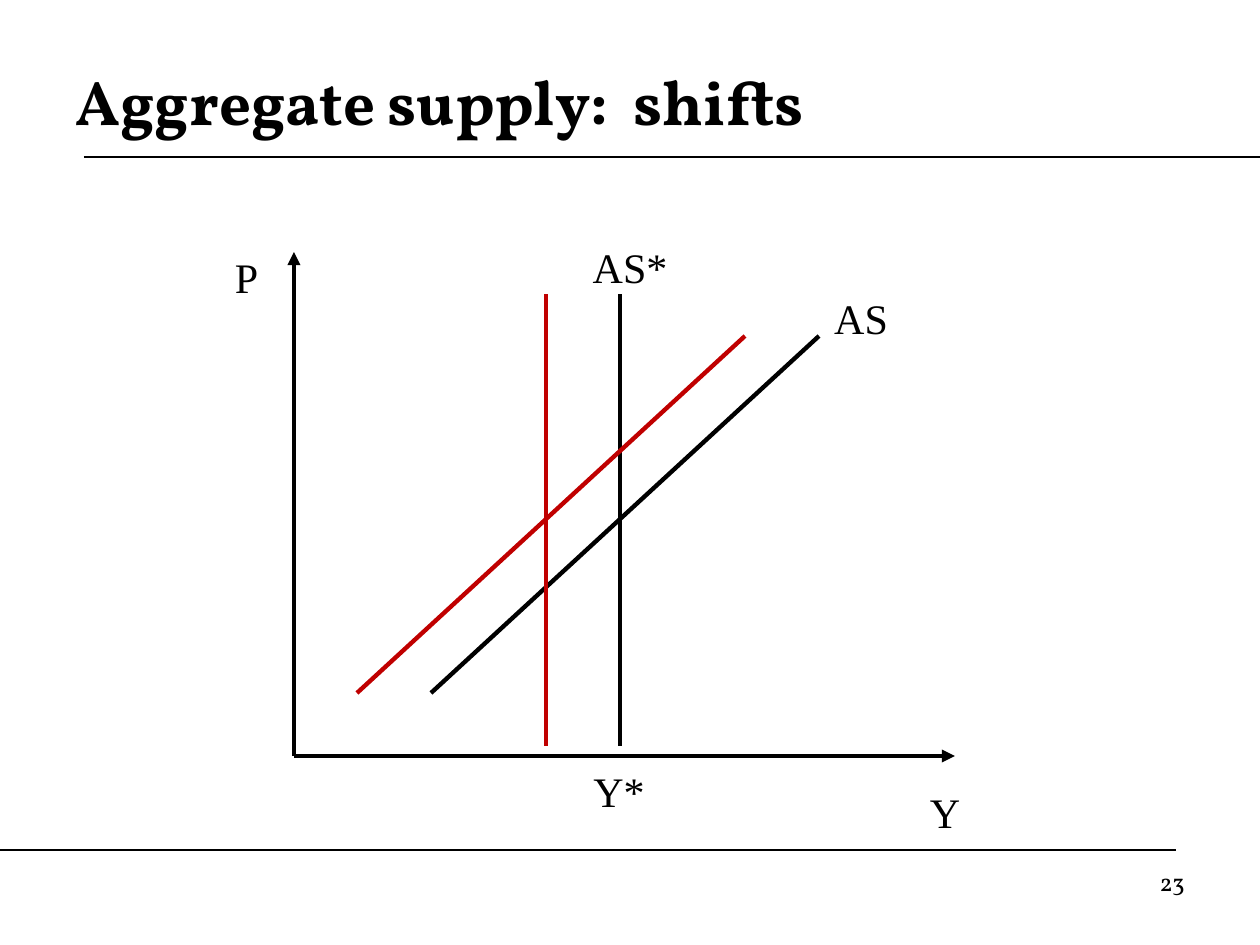
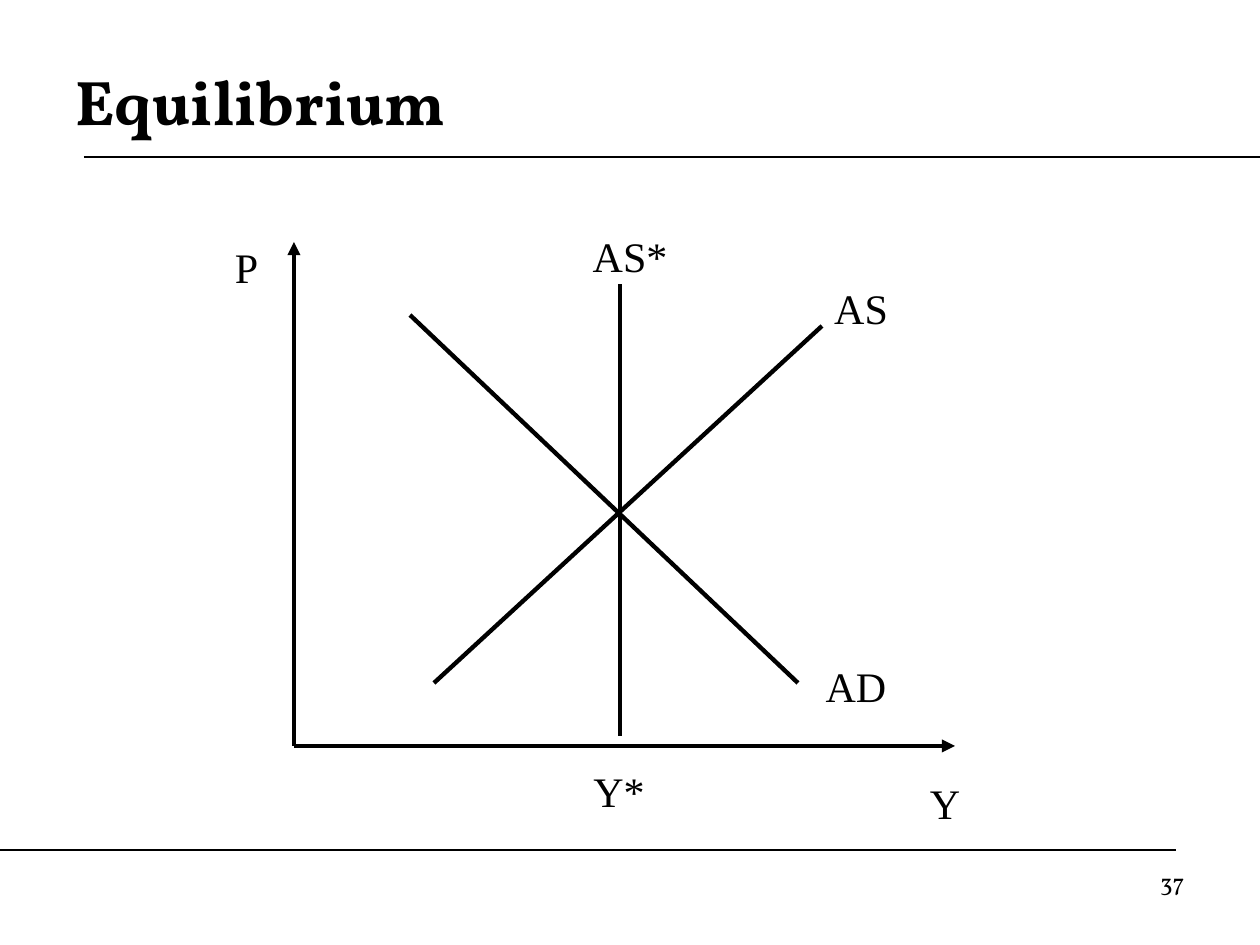
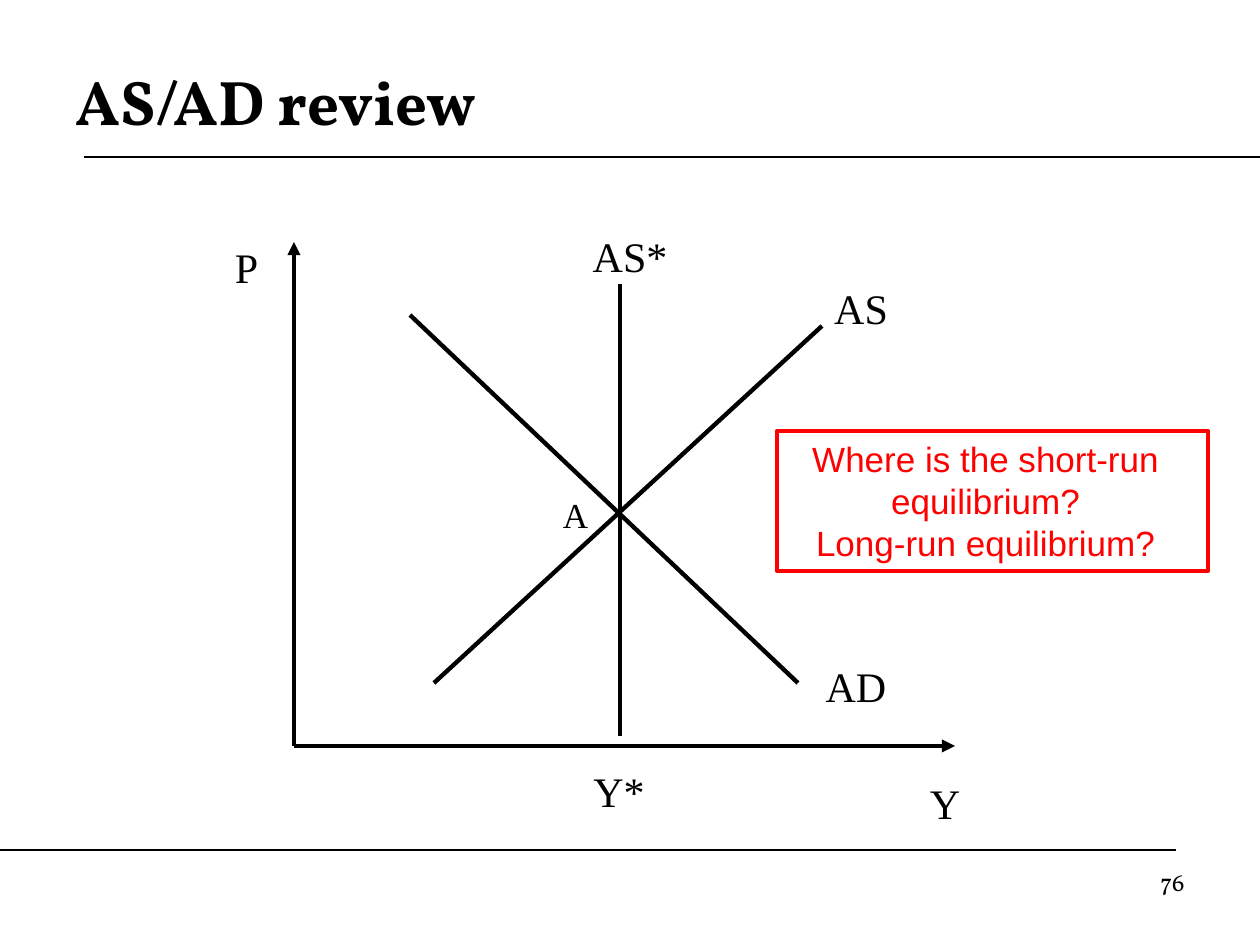
from pptx import Presentation
from pptx.dml.color import RGBColor
from pptx.enum.shapes import MSO_CONNECTOR as Connector, MSO_SHAPE as Preset
from pptx.enum.text import MSO_ANCHOR as Anchor, PP_ALIGN as Align
from pptx.oxml.ns import qn
from pptx.util import Pt
from lxml.etree import SubElement

EMU_PER_PX = 914400 / 126
SLIDE_SIZE = (1260, 945)
BLACK, DARK_RED, RED = "000000", "C00000", "FF0000"

TITLE_FORMAT = {"name": "Vollkorn", "size": Pt(36), "bold": True}
NUMBER_FORMAT = {"name": "Vollkorn", "size": Pt(14)}
LABEL_FORMAT = {"name": "Times New Roman", "size": Pt(24)}
POINT_FORMAT = {"name": "Times New Roman", "size": Pt(20)}
QUESTION_FORMAT = {"name": "Arial", "size": Pt(20)}

TITLE_BOX = (63, 42, 1134, 116)
NUMBER_BOX = (903, 861, 294, 65)
QUESTION_BOX = (777, 431, 431, 140)
SHIFT_PLOT = (294, 252, 661, 504)
EQUILIBRIUM_PLOT = (294, 242, 661, 504)
LABEL_HEIGHT = 63
POTENTIAL_OUTPUT = 326
SUPPLY_RUN = 388
SHIFT = -74


def px(length):
    return round(length * EMU_PER_PX)


def color(value):
    return RGBColor.from_string(value)


def add_line(slide, start, end, line_color=BLACK, width=2.5, arrow=False):
    connector = slide.shapes.add_connector(
        Connector.STRAIGHT, *map(px, (*start, *end)))
    connector.line.color.rgb = color(line_color)
    connector.line.width = Pt(width)
    if arrow:
        outline = connector.line._get_or_add_ln()
        SubElement(outline, qn("a:tailEnd"), type="triangle")
    SubElement(connector._element.spPr, qn("a:effectLst"))


def fill_text(shape, lines, font_format, align, text_color=BLACK, **frame_format):
    frame = shape.text_frame
    frame.word_wrap = True
    for name, value in frame_format.items():
        setattr(frame, name, value)
    for index, line in enumerate(lines):
        paragraph = frame.add_paragraph() if index else frame.paragraphs[0]
        paragraph.alignment = align
        run = paragraph.add_run()
        run.text = line
        run.font.color.rgb = color(text_color)
        for name, value in font_format.items():
            setattr(run.font, name, value)


def add_text(slide, box, text, font_format, align, **frame_format):
    shape = slide.shapes.add_textbox(*map(px, box))
    fill_text(shape, [text], font_format, align, **frame_format)


def add_label(slide, plot, text, left, top, width, font_format=LABEL_FORMAT):
    box = (plot[0] + left, plot[1] + top, width, LABEL_HEIGHT)
    add_text(slide, box, text, font_format, Align.CENTER, margin_top=px(10))


def add_curve(slide, plot, start, end, line_color=BLACK, arrow=False):
    left, top = plot[:2]
    add_line(slide, (left + start[0], top + start[1]),
             (left + end[0], top + end[1]), line_color, arrow=arrow)


def add_framed_slide(presentation, title, number):
    slide = presentation.slides.add_slide(presentation.slide_layouts[6])
    add_line(slide, (84, 157), (1260, 157), width=0.75)
    add_line(slide, (0, 850), (1176, 850), width=0.75)
    add_text(slide, TITLE_BOX, title, TITLE_FORMAT, Align.LEFT,
             vertical_anchor=Anchor.MIDDLE)
    add_text(slide, NUMBER_BOX, number, NUMBER_FORMAT, Align.RIGHT)
    return slide


def add_axes(slide, plot):
    width, height = plot[2:]
    for end in ((width, height), (0, 0)):
        add_curve(slide, plot, (0, height), end, arrow=True)
    add_label(slide, plot, "Y", 609, height + 21, 84)
    add_label(slide, plot, "P", -84, -10, 73)


def add_supply(slide, plot, supply_left, line_color=BLACK, shift=0):
    potential = POTENTIAL_OUTPUT + shift
    start = supply_left + shift
    add_curve(slide, plot, (potential, 494), (potential, 42), line_color)
    add_curve(slide, plot, (start, 441), (start + SUPPLY_RUN, 84), line_color)


def add_supply_labels(slide, plot, output_top):
    add_label(slide, plot, "AS*", 252, -21, 168)
    add_label(slide, plot, "AS", 525, 31, 84)
    add_label(slide, plot, "Y*", 283, output_top, 84)


def add_demand(slide, plot):
    add_curve(slide, plot, (504, 441), (116, 73))
    add_label(slide, plot, "AD", 504, 409, 116)


def add_question(slide, box):
    shape = slide.shapes.add_shape(Preset.RECTANGLE, *map(px, box))
    shape.shadow.inherit = False
    shape.fill.background()
    shape.line.color.rgb = color(RED)
    shape.line.width = Pt(2.5)
    lines = ["Where is the short-run equilibrium?", "Long-run equilibrium?"]
    fill_text(shape, lines, QUESTION_FORMAT, Align.CENTER, RED,
              margin_right=px(26), vertical_anchor=Anchor.MIDDLE)


def build_shift_slide(presentation, plot):
    slide = add_framed_slide(presentation, "Aggregate supply:  shifts", "23")
    add_axes(slide, plot)
    add_supply(slide, plot, 137)
    add_supply_labels(slide, plot, 504)
    add_supply(slide, plot, 137, DARK_RED, SHIFT)


def build_equilibrium_slide(presentation, plot, title, number):
    slide = add_framed_slide(presentation, title, number)
    add_axes(slide, plot)
    add_supply(slide, plot, 140)
    add_supply_labels(slide, plot, 514)
    add_demand(slide, plot)
    return slide


def main():
    presentation = Presentation()
    presentation.slide_width, presentation.slide_height = map(px, SLIDE_SIZE)
    build_shift_slide(presentation, SHIFT_PLOT)
    build_equilibrium_slide(presentation, EQUILIBRIUM_PLOT, "Equilibrium", "37")
    review = build_equilibrium_slide(
        presentation, EQUILIBRIUM_PLOT, "AS/AD review", "76")
    add_question(review, QUESTION_BOX)
    add_label(review, EQUILIBRIUM_PLOT, "A", 250, 241, 63, POINT_FORMAT)
    presentation.save("out.pptx")


if __name__ == "__main__":
    main()
